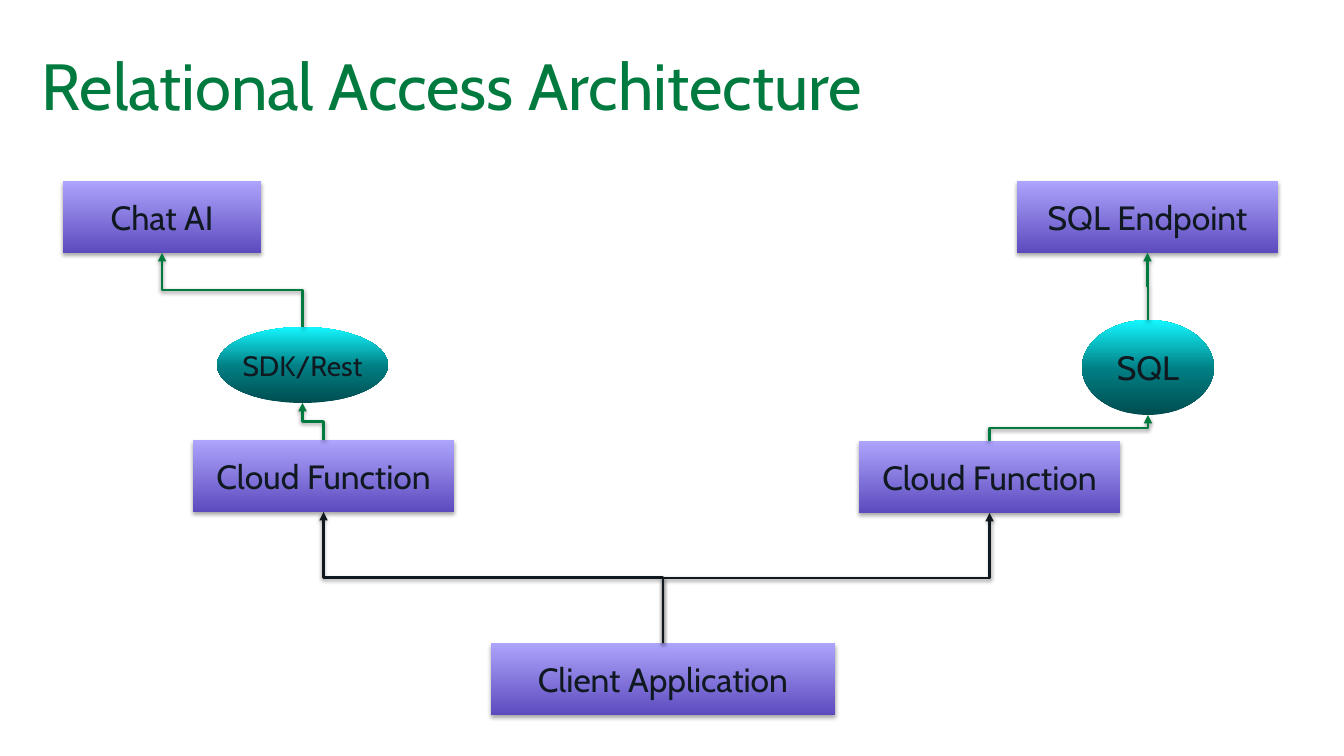
from pptx import Presentation
from pptx.dml.color import RGBColor
from pptx.enum.shapes import MSO_CONNECTOR, MSO_SHAPE
from pptx.enum.text import MSO_ANCHOR, PP_ALIGN
from pptx.oxml import parse_xml
from pptx.oxml.ns import nsdecls, qn
from pptx.util import Emu, Pt

RECTANGLE, OVAL = MSO_SHAPE.RECTANGLE, MSO_SHAPE.OVAL
ELBOW = MSO_CONNECTOR.ELBOW
MIDDLE = MSO_ANCHOR.MIDDLE
LEFT, CENTER = PP_ALIGN.LEFT, PP_ALIGN.CENTER

EMU_PER_PX = 914400 / 100.8
FONT = "Cabin"
GREEN, INK = "007A3E", "101820"
PURPLE = ((0, "5C4BBE"), (100, "ADA4FC"))
TEAL = ((0, "004D50"), (48, "007E83"), (100, "14F7FF"))
BOX_HEIGHT = 72


def px(length):
    """Turn pixels into EMU."""
    return Emu(round(length * EMU_PER_PX))


def rgb(value):
    """Turn a hex string into a colour."""
    return RGBColor.from_string(value)


class Diagram:
    """Holds the style and the current slide."""

    def __init__(self, slide):
        """Keep the slide to draw on."""
        self.slide = slide

    def label(self, holder, text, size, color, align):
        """Set one line of text, vertically centred without insets."""
        frame = holder.text_frame
        frame.word_wrap = True
        frame.vertical_anchor = MIDDLE
        frame.margin_left = frame.margin_top = 0
        frame.margin_right = frame.margin_bottom = 0
        paragraph = frame.paragraphs[0]
        paragraph.alignment = align
        run = paragraph.add_run()
        run.text = text
        run.font.name = FONT
        run.font.size = Pt(size)
        run.font.color.rgb = rgb(color)

    def shade(self, element, distance, opacity):
        """Add a soft shadow below an element."""
        properties = element._element.spPr
        for effects in properties.findall(qn("a:effectLst")):
            properties.remove(effects)
        properties.append(parse_xml(
            f'<a:effectLst {nsdecls("a")}><a:outerShdw blurRad="{Pt(3.1)}" '
            f'dist="{Pt(distance)}" dir="5400000" rotWithShape="0">'
            f'<a:srgbClr val="000000"><a:alpha val="{opacity * 1000}"/></a:srgbClr>'
            '</a:outerShdw></a:effectLst>'))

    def title(self, text, left, top, width, height):
        """Add the slide title."""
        heading = self.slide.shapes.add_textbox(px(left), px(top), px(width), px(height))
        self.label(heading, text, 46.6, GREEN, LEFT)

    def node(self, kind, stops, text, left, top, width, height, size):
        """Add a labelled shape with an upward gradient."""
        node = self.slide.shapes.add_shape(kind, px(left), px(top), px(width), px(height))
        node.shadow.inherit = False
        node.line.fill.background()
        colors = "".join(f'<a:gs pos="{position * 1000}"><a:srgbClr val="{color}"/></a:gs>'
                         for position, color in stops)
        node._element.spPr.find(qn("a:prstGeom")).addnext(parse_xml(
            f'<a:gradFill {nsdecls("a")} rotWithShape="1"><a:gsLst>{colors}</a:gsLst>'
            '<a:lin ang="16200000" scaled="0"/></a:gradFill>'))
        self.label(node, text, size, INK, CENTER)
        return node

    def box(self, text, left, top, width):
        """Add a component box."""
        box = self.node(RECTANGLE, PURPLE, text, left, top, width, BOX_HEIGHT, 24)
        self.shade(box, 1.8, 35)
        return box

    def protocol(self, text, left, top, width, height, size):
        """Add a protocol ellipse."""
        return self.node(OVAL, TEAL, text, left, top, width, height, size)

    def link(self, source, target, color):
        """Draw an elbow arrow from a top centre up to a bottom centre."""
        start_x = source.left + source.width // 2
        end_x = target.left + target.width // 2
        end_y = target.top + target.height
        rise, run = source.top - end_y, end_x - start_x
        left = (start_x + end_x - rise) // 2
        top = (source.top + end_y - abs(run)) // 2
        ends = (left + rise, left) if run > 0 else (left, left + rise)
        arrow = self.slide.shapes.add_connector(
            ELBOW, Emu(ends[0]), Emu(top + abs(run)), Emu(ends[1]), Emu(top))
        turn = 90 if run > 0 else 270
        properties = arrow._element.spPr
        properties.find(qn("a:xfrm")).set("rot", str(turn * 60000))
        arrow.line.color.rgb = rgb(color)
        arrow.line.width = Pt(2)
        properties.find(qn("a:ln")).append(
            parse_xml(f'<a:tailEnd {nsdecls("a")} type="triangle"/>'))
        self.shade(arrow, 1.6, 38)


def main():
    """Build the architecture slide."""
    deck = Presentation()
    deck.slide_width, deck.slide_height = px(1344), px(756)
    diagram = Diagram(deck.slides.add_slide(deck.slide_layouts[6]))

    diagram.title("Relational Access Architecture", 42, 42, 1260, 84)
    ai_service = diagram.box("Chat AI", 63, 181, 198)
    ai_function = diagram.box("Cloud Function", 193, 440, 261)
    client = diagram.box("Client Application", 491, 643, 344)
    sql_function = diagram.box("Cloud Function", 859, 441, 261)
    endpoint = diagram.box("SQL Endpoint", 1017, 181, 261)
    rest = diagram.protocol("SDK/Rest", 217, 327, 171, 76, 20)
    sql = diagram.protocol("SQL", 1082, 320, 132, 95, 24)

    for source, target, color in (
        (client, ai_function, INK),
        (client, sql_function, INK),
        (ai_function, rest, GREEN),
        (rest, ai_service, GREEN),
        (sql_function, sql, GREEN),
        (sql, endpoint, GREEN),
    ):
        diagram.link(source, target, color)

    deck.save("out.pptx")


if __name__ == "__main__":
    main()
